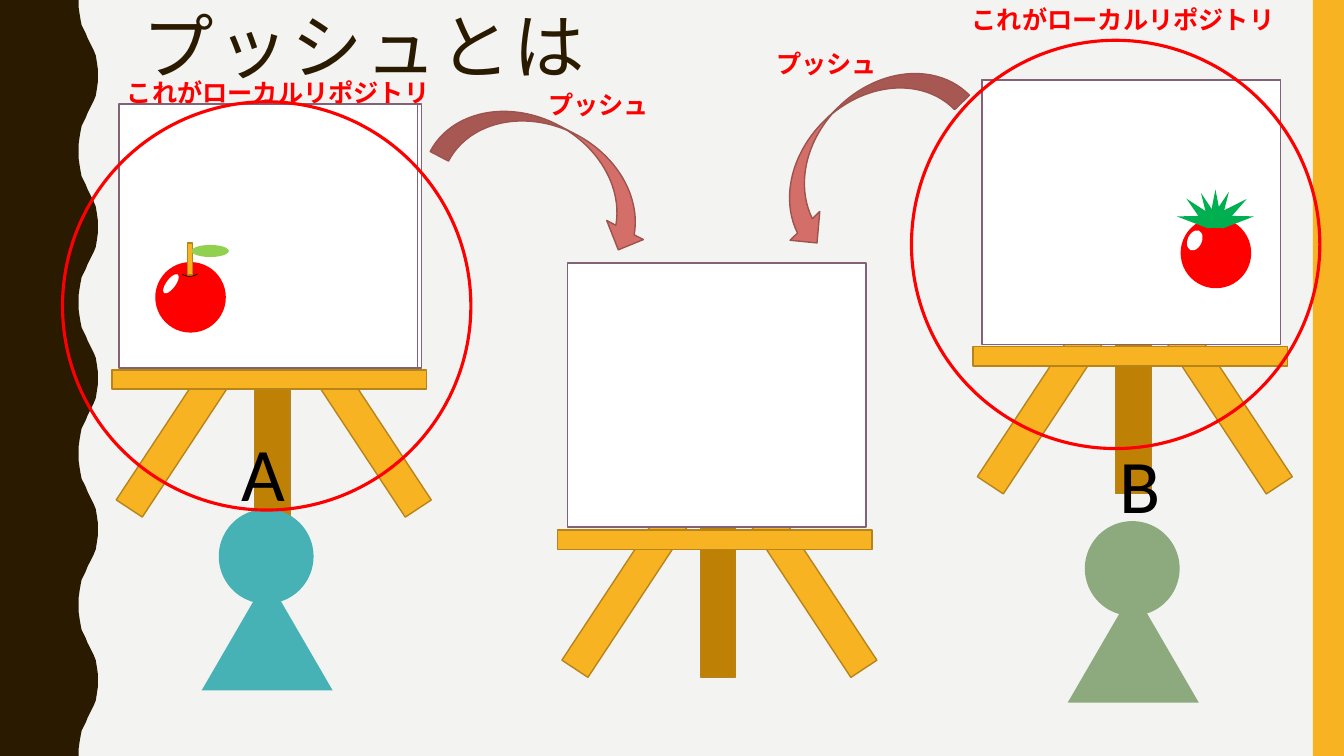
from dataclasses import dataclass
from typing import Optional

from pptx import Presentation
from pptx import util as u
from pptx.dml.color import RGBColor
from pptx.enum import shapes, text

EMU_PER_PX = 9144
PAGE_WIDTH, PAGE_HEIGHT = 1333, 750

PAPER = RGBColor(0xF3, 0xF3, 0xF2)
BROWN = RGBColor(0x2A, 0x1A, 0x00)
AMBER = RGBColor(0xF8, 0xB3, 0x23)
DARK_AMBER = RGBColor(0xBE, 0x81, 0x06)
AMBER_EDGE = RGBColor(0xB7, 0x84, 0x1A)
WHITE = RGBColor(0xFF, 0xFF, 0xFF)
BLACK = RGBColor(0x00, 0x00, 0x00)
PLUM = RGBColor(0x82, 0x62, 0x76)
TEAL = RGBColor(0x46, 0xB2, 0xB5)
SAGE = RGBColor(0x8C, 0xAA, 0x7E)
RED = RGBColor(0xFF, 0x00, 0x00)
GREEN = RGBColor(0x00, 0xB0, 0x50)
LEAF = RGBColor(0x92, 0xD0, 0x50)
ROSE = RGBColor(0xD3, 0x6F, 0x68)
ROSE_EDGE = RGBColor(0x9C, 0x52, 0x4D)

KIND = shapes.MSO_SHAPE
RECT, OVAL, TRIANGLE = KIND.RECTANGLE, KIND.OVAL, KIND.ISOSCELES_TRIANGLE

WAVE_PERIOD = 150
WAVE_RISE = [(78, 0), (78, 7), (79, 14), (80, 20), (81, 25), (83, 29), (85, 33), (87, 38),
             (89, 42), (91, 46), (93, 50), (95, 55), (96, 61), (97, 68), (97, 75)]


@dataclass
class Figure:
    kind: KIND
    left: int
    top: int
    width: int
    height: int
    fill: Optional[RGBColor] = None
    line: Optional[RGBColor] = None
    weight: float = 1
    rotation: float = 0
    flipped: bool = False
    adjustments: tuple[float, ...] = ()


@dataclass
class Label:
    words: str
    left: int
    top: int
    width: int
    height: int
    size: int
    color: RGBColor
    font: str = "Calibri"
    bold: bool = False
    wrap: bool = True


@dataclass
class Person:
    left: int
    top: int
    color: RGBColor
    name: Label


def px(length: int) -> u.Emu:
    return u.Emu(length * EMU_PER_PX)


def draw_figure(page, figure: Figure) -> None:
    shape = page.shapes.add_shape(figure.kind, px(figure.left), px(figure.top),
                                  px(figure.width), px(figure.height))
    shape.shadow.inherit = False
    shape.rotation = figure.rotation
    for index, value in enumerate(figure.adjustments):
        shape.adjustments[index] = value
    if figure.flipped:
        shape.element.spPr.xfrm.set("flipH", "1")
    if figure.fill is None:
        shape.fill.background()
    else:
        shape.fill.solid()
        shape.fill.fore_color.rgb = figure.fill
    if figure.line is None:
        shape.line.fill.background()
    else:
        shape.line.color.rgb = figure.line
        shape.line.width = u.Pt(figure.weight)


def draw_label(page, label: Label):
    box = page.shapes.add_textbox(px(label.left), px(label.top), px(label.width), px(label.height))
    frame = box.text_frame
    frame.word_wrap = label.wrap
    frame.auto_size = text.MSO_AUTO_SIZE.SHAPE_TO_FIT_TEXT
    frame.text = label.words
    span = frame.paragraphs[0].runs[0]
    span.font.name = label.font
    span.font.size = u.Pt(label.size)
    span.font.bold = label.bold
    span.font.color.rgb = label.color
    return box


def draw_title(page) -> None:
    box = draw_label(page, Label("プッシュとは", 132, 7, 1113, 112, 51, BROWN, "Roboto Condensed"))
    box.text_frame.auto_size = text.MSO_AUTO_SIZE.NONE
    para = box.text_frame.paragraphs[0]
    para.line_spacing = 0.9
    para.runs[0].font._element.set("spc", "200")


def draw_wave(page) -> None:
    fall = [(x, WAVE_PERIOD - y) for x, y in reversed(WAVE_RISE[1:-1])]
    edge = [(x, y + start) for start in range(0, PAGE_HEIGHT, WAVE_PERIOD)
            for x, y in WAVE_RISE + fall]
    builder = page.shapes.build_freeform(0, 0, scale=EMU_PER_PX)
    builder.add_line_segments(edge + [(WAVE_RISE[0][0], PAGE_HEIGHT), (0, PAGE_HEIGHT)])
    wave = builder.convert_to_shape()
    wave.shadow.inherit = False
    wave.fill.solid()
    wave.fill.fore_color.rgb = BROWN
    wave.line.fill.background()


def easel(left: int, top: int) -> list[Figure]:
    return [
        Figure(RECT, left + 55, top - 12, 321, 31, AMBER, AMBER_EDGE, rotation=236.6),
        Figure(RECT, left - 55, top - 12, 321, 31, AMBER, AMBER_EDGE, rotation=123.4),
        Figure(RECT, left, top - 31, 318, 35, DARK_AMBER, AMBER_EDGE, rotation=90),
        Figure(RECT, left, top, 312, 19, AMBER, AMBER_EDGE),
    ]


def draw_person(page, person: Person) -> None:
    draw_figure(page, Figure(OVAL, person.left, person.top, 94, 94, person.color))
    draw_figure(page, Figure(TRIANGLE, person.left - 17, person.top + 68, 130, 112, person.color))
    draw_label(page, person.name)


EASELS = [(965, 344), (111, 367), (553, 526)]
BOARDS = [(974, 79), (122, 103), (118, 103), (974, 80), (563, 261)]
PEOPLE = [
    Person(217, 505, TEAL, Label("A", 230, 418, 88, 101, 54, BLACK)),
    Person(1076, 517, SAGE, Label("B", 1100, 429, 88, 101, 54, BLACK)),
]
TOMATO = [
    Figure(OVAL, 1171, 216, 70, 70, RED),
    Figure(TRIANGLE, 1217, 191, 13, 33, GREEN, rotation=52.2),
    Figure(TRIANGLE, 1208, 189, 10, 29, GREEN, rotation=23.9),
    Figure(TRIANGLE, 1221, 201, 13, 33, GREEN, rotation=80.1),
    Figure(TRIANGLE, 1182, 192, 13, 33, GREEN, rotation=314.1),
    Figure(TRIANGLE, 1192, 190, 10, 29, GREEN, rotation=336.1),
    Figure(TRIANGLE, 1177, 201, 13, 33, GREEN, rotation=279.9),
    Figure(TRIANGLE, 1199, 188, 13, 33, GREEN),
    Figure(OVAL, 1178, 228, 14, 21, WHITE, rotation=24.4),
    Figure(RECT, 1197, 218, 16, 8, GREEN),
]
APPLE = [
    Figure(OVAL, 154, 260, 70, 70, RED),
    Figure(RECT, 186, 241, 5, 32, AMBER, AMBER_EDGE),
    Figure(KIND.ARC, 175, 248, 27, 26, line=BLACK, weight=0.5, rotation=144.8,
           adjustments=(162, 203.865)),
    Figure(OVAL, 190, 243, 37, 12, LEAF),
    Figure(OVAL, 165, 270, 9, 23, WHITE, rotation=36.8),
]
REPOSITORY_RINGS = [Figure(OVAL, left, top, 405, 405, line=RED, weight=2.25)
                    for left, top in [(62, 101), (904, 40)]]
PUSH_ARROWS = [
    Figure(KIND.CURVED_RIGHT_ARROW, 809, 30, 82, 231, ROSE, ROSE_EDGE, rotation=45.9),
    Figure(KIND.CURVED_RIGHT_ARROW, 507, 52, 82, 231, ROSE, ROSE_EDGE, rotation=297.6,
           flipped=True),
]
CAPTIONS = [Label(words, left, top, width, 40, 18, RED, bold=True, wrap=False)
            for words, width, places in [
                ("これがローカルリポジトリ", 323, [(954, -1), (116, 72)]),
                ("プッシュ", 121, [(534, 84), (760, 43)])]
            for left, top in places]


def main() -> None:
    deck = Presentation()
    deck.slide_width, deck.slide_height = px(PAGE_WIDTH), px(PAGE_HEIGHT)
    page = deck.slides.add_slide(deck.slide_layouts[6])
    page.background.fill.solid()
    page.background.fill.fore_color.rgb = PAPER

    draw_wave(page)
    draw_figure(page, Figure(RECT, 1302, 0, 31, PAGE_HEIGHT, AMBER))
    for left, top in EASELS:
        for figure in easel(left, top):
            draw_figure(page, figure)
    for left, top in BOARDS:
        draw_figure(page, Figure(RECT, left, top, 296, 262, WHITE, PLUM))
    draw_title(page)
    for person in PEOPLE:
        draw_person(page, person)
    for figure in TOMATO + APPLE + REPOSITORY_RINGS + PUSH_ARROWS:
        draw_figure(page, figure)
    for caption in CAPTIONS:
        draw_label(page, caption)
    deck.save("out.pptx")


if __name__ == "__main__":
    main()
